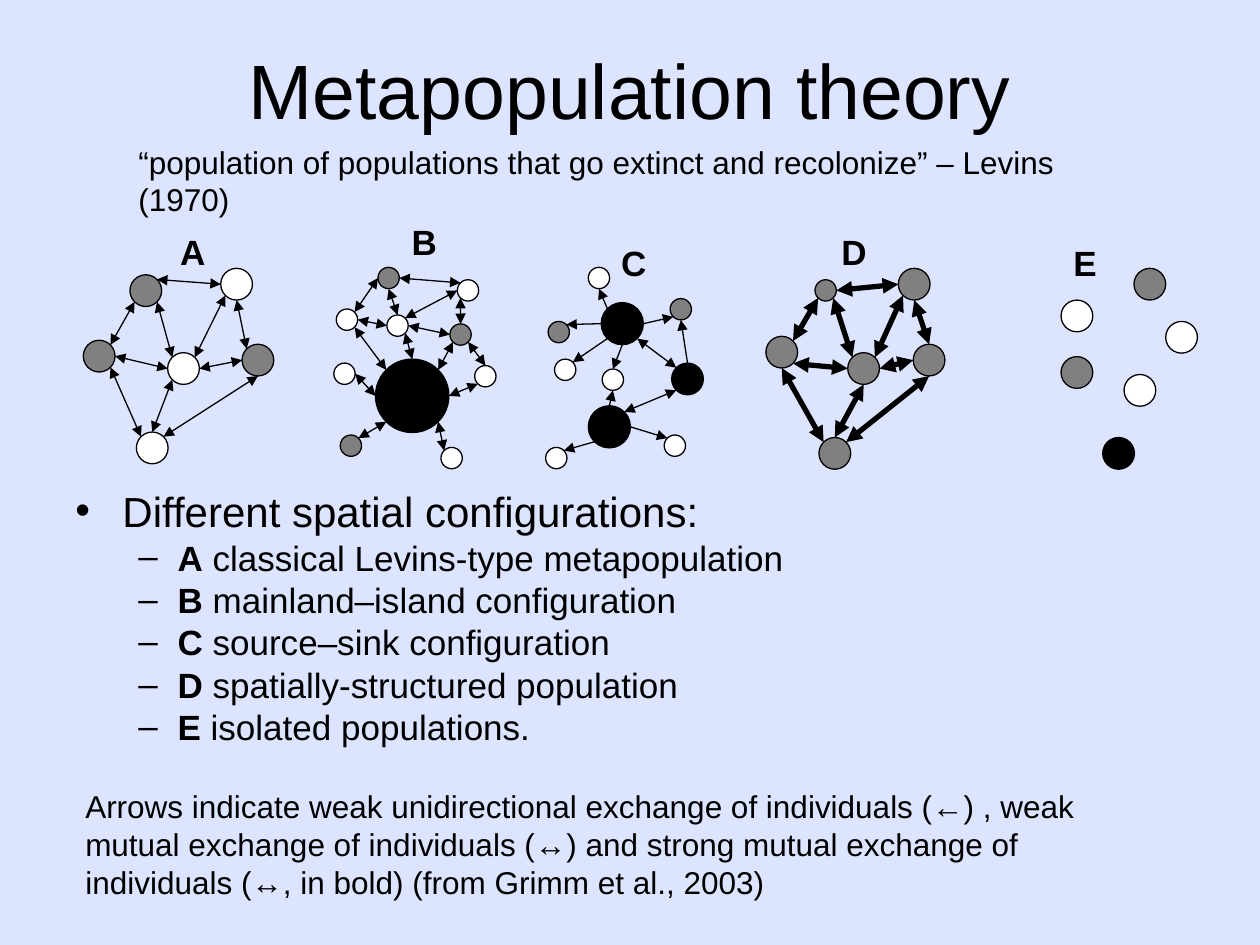
from math import sqrt

from lxml import etree
from pptx import Presentation
from pptx import util as u
from pptx.dml.color import RGBColor
from pptx.enum import shapes, text
from pptx.oxml.ns import qn

BACKGROUND = RGBColor(0xDC, 0xE4, 0xFF)
BLACK = RGBColor(0, 0, 0)
GREY = RGBColor(0x80, 0x80, 0x80)
WHITE = RGBColor(0xFF, 0xFF, 0xFF)
FILLS = {"k": BLACK, "g": GREY, "w": WHITE}
FONT = "Arial"

# Patch diameters in cm: small, medium, large, mainland
DIAMETERS = {"s": 0.43, "m": 0.64, "l": 0.85, "x": 1.48}

DIAGONAL = sqrt(0.5)
COMPASS = {
    "N": (0, -1), "S": (0, 1), "W": (-1, 0), "E": (1, 0),
    "NW": (-DIAGONAL, -DIAGONAL), "NE": (DIAGONAL, -DIAGONAL),
    "SW": (-DIAGONAL, DIAGONAL), "SE": (DIAGONAL, DIAGONAL),
}

# Each patch: left and top within its panel (cm), size and fill.
# Each exchange: patch number and edge point at both ends;
# "-" is mutual, ">" goes one way.
CONFIGURATIONS = [
    {
        "letter": "A", "name": "classical Levins-type metapopulation",
        "left": 1.68, "label": (1.7, 0.2), "weight": 0.75,
        "patches": [(0.94, 1.22, "mg"), (2.77, 1.09, "mw"), (0, 2.54, "mg"),
                    (1.7, 2.79, "mw"), (3.2, 2.62, "mg"), (1.07, 4.39, "mw")],
        "exchanges": "2SW-4NE 3SE-6NW 4SW-6N 5S-6NE 2S-5NW 2W-1NE 4NW-1SE "
                     "4W-3E 1SW-3NE 5W-4E",
    },
    {
        "letter": "B", "name": "mainland–island configuration",
        "left": 6.73, "label": (1.32, 0), "weight": 0.75,
        "patches": [(0.89, 1.07, "sg"), (2.49, 1.32, "sw"), (0.05, 1.91, "sw"),
                    (1.07, 2.03, "sw"), (2.34, 2.21, "sg"), (0, 3, "sw"),
                    (0.84, 2.92, "xk"), (2.84, 3.05, "sw"), (0.13, 4.45, "sg"),
                    (2.16, 4.7, "sw")],
        "exchanges": "9NE-7SW 10NW-7SE 8SW-7E 5SW-7NE 5SE-8N 2SW-5N 2W-4NE "
                     "5W-4E 4N-1S 2NW-1E 3NE-1W 7NW-3SE 4W-3E 7N-4SE 7W-6E",
    },
    {
        "letter": "C", "name": "source–sink configuration",
        "left": 11, "label": (1.27, 0.43), "weight": 0.75,
        "patches": [(0.86, 1.07, "sw"), (1.12, 1.78, "lk"), (2.51, 1.7, "sg"),
                    (0.05, 2.16, "sg"), (0.18, 2.92, "sw"), (1.14, 3.12, "sw"),
                    (2.54, 3, "mk"), (0.86, 3.86, "lk"), (2.39, 4.45, "sw"),
                    (0, 4.7, "sw")],
        "exchanges": "8SW>10NE 7SW-8NE 7NW-2SE 8E>9NW 8N>6S 2S>6N 2E>3SW "
                     "7N>3S 2SW>5NE 2W>4NE 2NW>1S",
    },
    {
        "letter": "D", "name": "spatially-structured population",
        "left": 15.44, "label": (1.27, 0.2), "weight": 3,
        "patches": [(0.99, 1.32, "sg"), (2.67, 1.09, "mg"), (0, 2.46, "mg"),
                    (1.65, 2.79, "mg"), (2.97, 2.62, "mg"), (1.07, 4.5, "mg")],
        "exchanges": "4S-6N 5S-6NE 2S-5N 4E-5W 3S-6NW 3SE-4W 1SE-4NW 2SW-4NE "
                     "2W-1E 1SW-3NE",
    },
    {
        "letter": "E", "name": "isolated populations.",
        "left": 21.39, "label": (0, 0.43), "weight": 0.75,
        "patches": [(1.47, 1.09, "mg"), (0, 1.73, "mw"), (2.11, 2.16, "mw"),
                    (0, 2.87, "mg"), (1.27, 3.23, "mw"), (0.84, 4.5, "mk")],
        "exchanges": "",
    },
]


def style(font, size, bold=False):
    font.name, font.size, font.bold = FONT, u.Pt(size), bold
    font.color.rgb = BLACK


def add_text(slide, words, box, size, bold=False, wrap=True):
    frame = slide.shapes.add_textbox(*map(u.Cm, box)).text_frame
    frame.word_wrap = wrap
    frame.text = words
    style(frame.paragraphs[0].runs[0].font, size, bold)
    return frame


def add_title(slide, box):
    frame = add_text(slide, "Metapopulation theory", box, 44)
    frame.vertical_anchor = text.MSO_ANCHOR.MIDDLE
    frame.paragraphs[0].alignment = text.PP_ALIGN.CENTER


def add_patch(slide, left, top, diameter, fill):
    patch = slide.shapes.add_shape(
        shapes.MSO_SHAPE.OVAL, *map(u.Cm, (left, top, diameter, diameter)))
    patch.shadow.inherit = False
    patch.fill.solid()
    patch.fill.fore_color.rgb = fill
    patch.line.color.rgb = BLACK
    patch.line.width = u.Pt(0.75)


def add_exchange(slide, start, end, weight, mutual):
    arrow = slide.shapes.add_connector(
        shapes.MSO_CONNECTOR.STRAIGHT, *map(u.Cm, start + end))
    arrow.line.color.rgb = BLACK
    arrow.line.width = u.Pt(weight)
    outline = arrow.line._get_or_add_ln()
    for tip in ("a:headEnd", "a:tailEnd") if mutual else ("a:tailEnd",):
        etree.SubElement(outline, qn(tip), type="triangle")
    etree.SubElement(arrow._element.spPr, qn("a:effectLst"))


def edge_point(circle, anchor):
    """Point on a circle (left, top, diameter) for an anchor such as '4NE'."""
    left, top, diameter = circle
    dx, dy = COMPASS[anchor.lstrip("0123456789")]
    radius = diameter / 2
    return left + radius * (1 + dx), top + radius * (1 + dy)


def add_configuration(slide, config, left, top):
    circles = []
    for x, y, (size, fill) in config["patches"]:
        circles.append((left + x, top + y, DIAMETERS[size]))
        add_patch(slide, *circles[-1], FILLS[fill])
    for exchange in config["exchanges"].split():
        mutual = "-" in exchange
        ends = [edge_point(circles[int(anchor.rstrip("NSWE")) - 1], anchor)
                for anchor in exchange.split("-" if mutual else ">")]
        add_exchange(slide, *ends, config["weight"], mutual)
    x, y = config["label"]
    add_text(slide, config["letter"], (left + x, top + y, 1.02, 1.09), 20,
             bold=True, wrap=False)


def add_bullet(paragraph, symbol, margin, hang):
    properties = paragraph._p.get_or_add_pPr()
    properties.set("marL", str(u.Cm(margin)))
    properties.set("indent", str(-u.Cm(hang)))
    etree.SubElement(properties, qn("a:buFont"), typeface=FONT)
    etree.SubElement(properties, qn("a:buChar"), char=symbol)
    paragraph.line_spacing = 0.8


def add_configuration_list(slide, box):
    frame = add_text(slide, "Different spatial configurations:", box, 24)
    add_bullet(frame.paragraphs[0], "•", 0.95, 0.95)
    for config in CONFIGURATIONS:
        entry = frame.add_paragraph()
        entry.level = 1
        add_bullet(entry, "–", 2.06, 0.79)
        entry.space_before = u.Pt(5)
        for words, bold in (config["letter"], True), (" " + config["name"], False):
            run = entry.add_run()
            run.text = words
            style(run.font, 20, bold)


def main():
    deck = Presentation()
    deck.slide_width, deck.slide_height = u.Cm(25.4), u.Cm(19.05)
    slide = deck.slides.add_slide(deck.slide_layouts[6])
    slide.background.fill.solid()
    slide.background.fill.fore_color.rgb = BACKGROUND

    add_title(slide, (1.27, 0.2, 22.86, 3.18))
    add_text(slide, "“population of populations that go extinct and recolonize” "
             "– Levins (1970)", (2.54, 2.75, 20.9, 1.02), 18)
    for config in CONFIGURATIONS:
        add_configuration(slide, config, config["left"], 4.32)
    add_configuration_list(slide, (1.27, 9.86, 22.86, 5.59))
    add_text(slide, "Arrows indicate weak unidirectional exchange of individuals "
             "(←) , weak mutual exchange of individuals (↔) and strong mutual "
             "exchange of individuals (↔, in bold) (from Grimm et al., 2003)",
             (1.47, 15.75, 22.12, 2.54), 18)
    deck.save("out.pptx")


if __name__ == "__main__":
    main()
